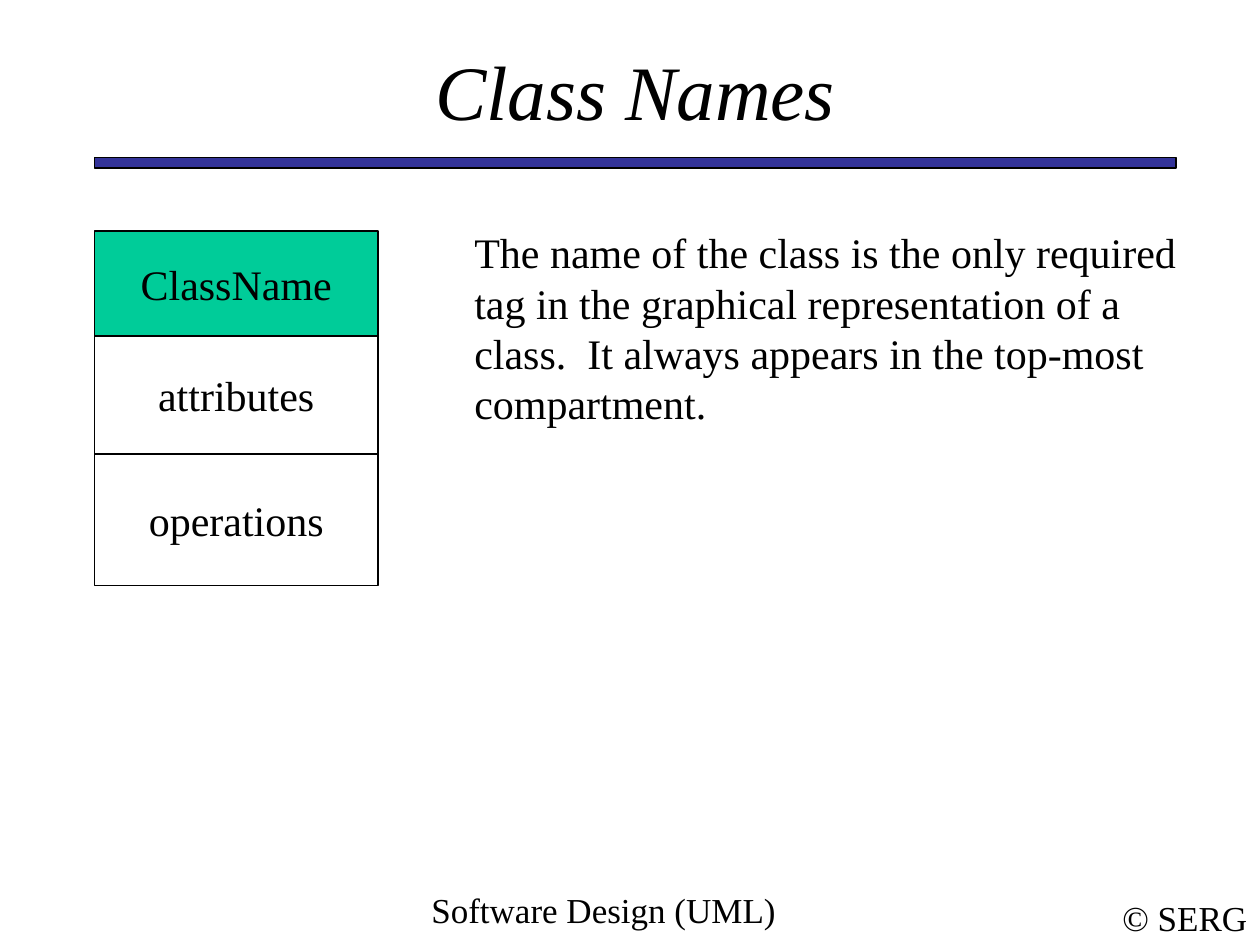
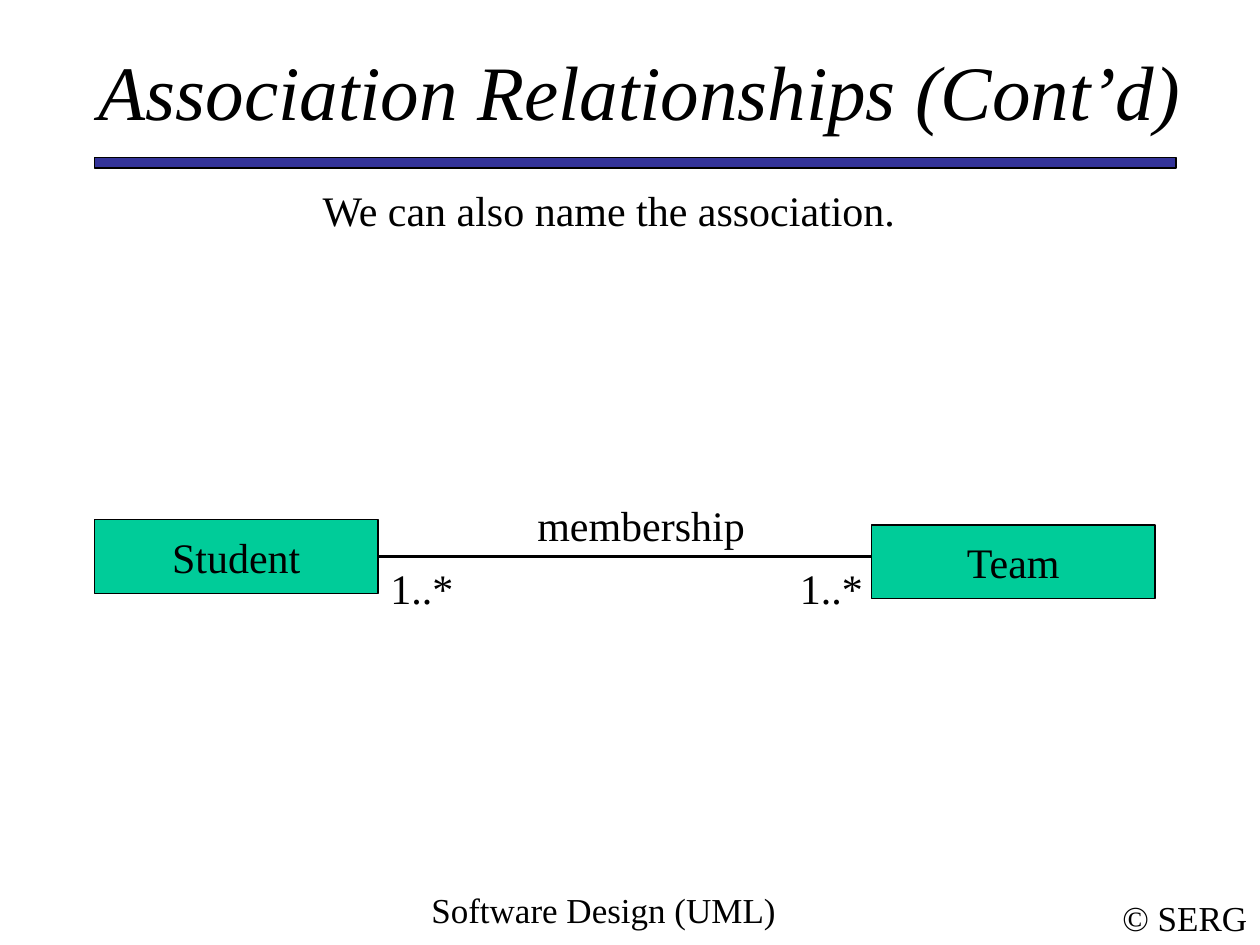
from dataclasses import dataclass
from lxml.etree import SubElement
from pptx import Presentation
from pptx.dml.color import RGBColor
from pptx.enum.shapes import MSO_CONNECTOR, MSO_SHAPE
from pptx.enum.text import MSO_ANCHOR, MSO_AUTO_SIZE, PP_ALIGN
from pptx.oxml.ns import qn
from pptx.util import Inches, Pt


@dataclass(frozen=True)
class Theme:
    """Colours, font and type sizes shared by all slides."""
    ink: RGBColor = RGBColor(0, 0, 0)
    paper: RGBColor = RGBColor(255, 255, 255)
    green: RGBColor = RGBColor(0, 204, 153)
    blue: RGBColor = RGBColor(51, 51, 153)
    font: str = "Times New Roman"
    title: int = 44
    body: int = 24
    foot: int = 20
    thin: float = 0.75
    thick: float = 2.25


THEME = Theme()
EDGE = 9
WIDE = 103
CLASS = 27


def grid(*units):
    """Turn grid units, twelve to the inch, into lengths."""
    return [Inches(unit / 12) for unit in units]


def write(shape, text, size, align=PP_ALIGN.CENTER, anchor=MSO_ANCHOR.MIDDLE,
          wrap=True, slant=False):
    """Set the text of a shape and format it."""
    frame = shape.text_frame
    frame.text = text
    frame.word_wrap = wrap
    frame.auto_size = MSO_AUTO_SIZE.NONE
    frame.vertical_anchor = anchor
    para = frame.paragraphs[0]
    para.alignment = align
    font = para.runs[0].font
    font.name, font.size, font.italic = THEME.font, Pt(size), slant
    font.color.rgb = THEME.ink


def label(slide, text, area, size=THEME.body, align=PP_ALIGN.LEFT,
          anchor=MSO_ANCHOR.TOP, wrap=True):
    """Add a text box."""
    write(slide.shapes.add_textbox(*grid(*area)), text, size, align, anchor, wrap)


def block(shapes, area, fill, text=""):
    """Add an outlined rectangle, with a centred name if given."""
    rect = shapes.add_shape(MSO_SHAPE.RECTANGLE, *grid(*area))
    rect.shadow.inherit = False
    rect.fill.solid()
    rect.fill.fore_color.rgb = fill
    rect.line.color.rgb = THEME.ink
    rect.line.width = Pt(THEME.thin)
    if text:
        write(rect, text, THEME.body, wrap=False)
    return rect


def link(slide, start, ends):
    """Draw a line that leaves the right side of a class."""
    line = slide.shapes.add_connector(MSO_CONNECTOR.STRAIGHT, *grid(*ends))
    line.begin_connect(start, 3)
    line.line.color.rgb = THEME.ink
    line.line.width = Pt(THEME.thick)
    SubElement(line._element.spPr, qn("a:effectLst"))


def page(deck, text, left=EDGE, width=WIDE):
    """Add a slide with the title, rule and footers."""
    slide = deck.slides.add_slide(deck.slide_layouts[5])
    title = slide.shapes.title
    title.left, title.top, title.width, title.height = grid(left, 5, width, 7)
    write(title, text, THEME.title, slant=True)
    title.text_frame.margin_left = title.text_frame.margin_right = 0
    block(slide.shapes, (EDGE, 15, WIDE, 1), THEME.blue)
    label(slide, "Software Design (UML)", (31, 84, 53, 6), THEME.foot,
          PP_ALIGN.CENTER)
    label(slide, "© SERG", (105.7, 84.8, 14.3, 5.2), THEME.foot,
          PP_ALIGN.CENTER, MSO_ANCHOR.MIDDLE, False)
    return slide


def names(deck):
    """Build the slide on class names."""
    slide = page(deck, "Class Names")
    group = slide.shapes.add_group_shape()
    top = 22
    parts = (("ClassName", 10, THEME.green), ("attributes", 11.25, THEME.paper),
             ("operations", 12.5, THEME.paper))
    for text, high, fill in parts:
        block(group.shapes, (EDGE, top, CLASS, high), fill, text)
        top += high
    label(slide, "The name of the class is the only required tag in the "
          "graphical representation of a class.  It always appears in the "
          "top-most compartment.", (44, 21, 72, 20.4))


def ties(deck):
    """Build the slide on named associations."""
    slide = page(deck, "Association Relationships (Cont’d)", 8, 106)
    label(slide, "We can also name the association.", (20, 17, 76, 6),
          align=PP_ALIGN.CENTER)
    student = block(slide.shapes, (EDGE, 49.5, CLASS, 7), THEME.green, "Student")
    link(slide, student, (EDGE + CLASS, 53, 84, 53))
    block(slide.shapes, (83, 50, CLASS, 7), THEME.green, "Team")
    label(slide, "membership", (50, 47, 23, 6))
    for left, width in ((36, 10), (75, 9)):
        label(slide, "1..*", (left, 53, width, 6))


def main():
    """Build and save the deck."""
    deck = Presentation()
    deck.slide_width, deck.slide_height = grid(120, 90)
    names(deck)
    ties(deck)
    deck.save("out.pptx")


if __name__ == "__main__":
    main()
